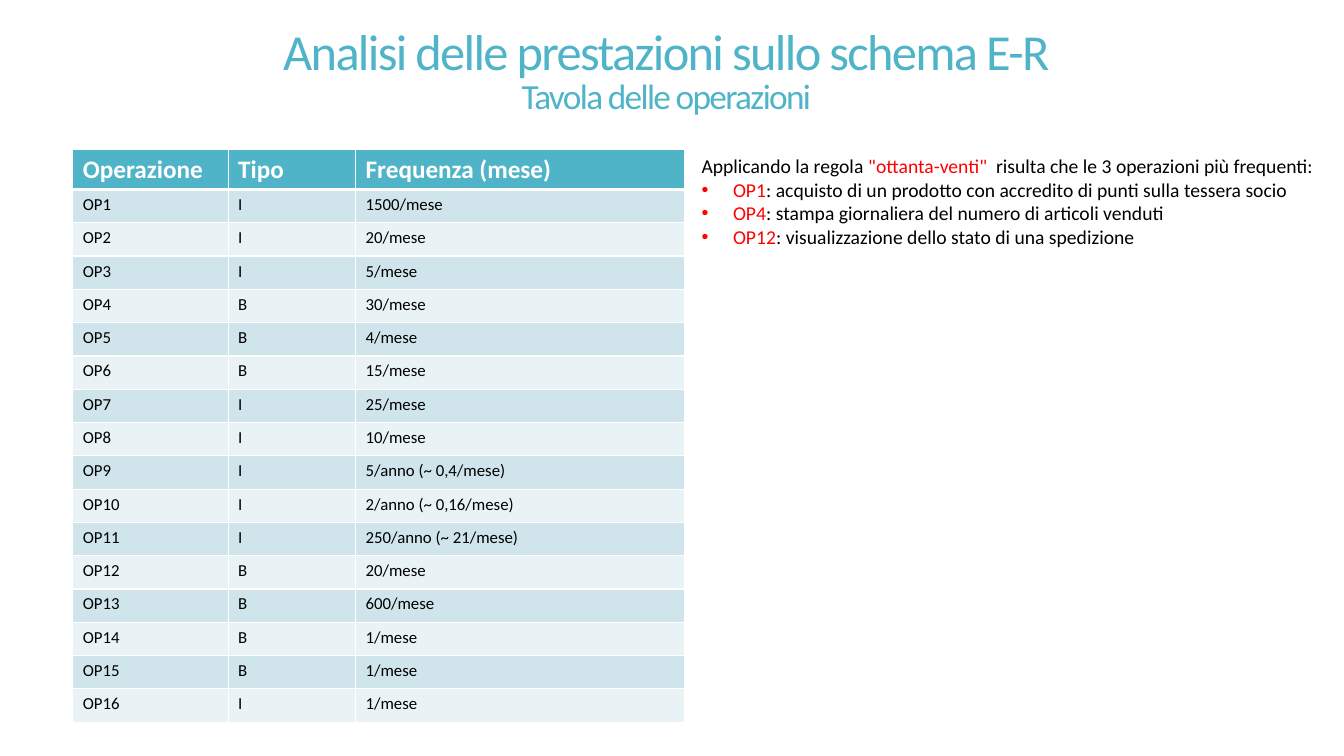
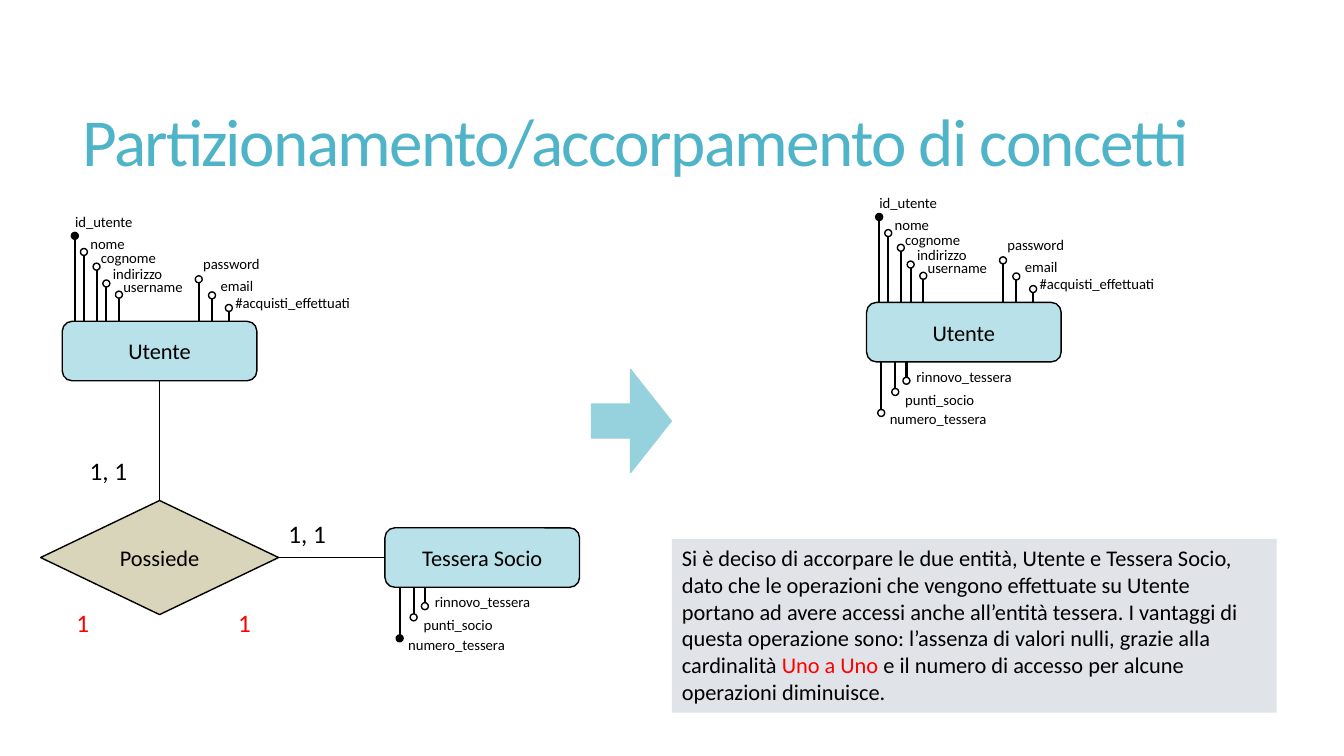
from dataclasses import dataclass

from lxml import etree
from pptx import Presentation
from pptx.dml.color import RGBColor
from pptx.enum.shapes import MSO_CONNECTOR, MSO_SHAPE
from pptx.enum.text import MSO_ANCHOR, PP_ALIGN
from pptx.oxml.ns import qn
from pptx.util import Pt

STRAIGHT = MSO_CONNECTOR.STRAIGHT
ELLIPSE = MSO_SHAPE.OVAL
ROUNDED = MSO_SHAPE.ROUNDED_RECTANGLE
DIAMOND = MSO_SHAPE.FLOWCHART_DECISION
ARROW = MSO_SHAPE.RIGHT_ARROW
MIDDLE = MSO_ANCHOR.MIDDLE
LEFT, CENTER = PP_ALIGN.LEFT, PP_ALIGN.CENTER


@dataclass(frozen=True)
class Theme:
    font: str = "Calibri"
    # Colours
    accent: str = "50B4C8"
    ink: str = "000000"
    paper: str = "FFFFFF"
    highlight: str = "FF0000"
    band_dark: str = "D0E5EB"
    band_light: str = "E9F2F5"
    entity: str = "B9E1E9"
    relation: str = "D9D5BA"
    arrow: str = "96D2DE"
    note: str = "E0E4E8"
    # Type sizes
    title: float = 48
    title_small: float = 36
    subtitle: float = 25.2
    heading: float = 18
    body: float = 16
    list_text: float = 14
    cell: float = 12
    attribute: float = 10.5


THEME = Theme()
ENTITY_W, ENTITY_H = 139, 42.5
PIN = 5

OPERATIONS = [
    ("I", "1500/mese"), ("I", "20/mese"), ("I", "5/mese"), ("B", "30/mese"),
    ("B", "4/mese"), ("B", "15/mese"), ("I", "25/mese"), ("I", "10/mese"),
    ("I", "5/anno (~ 0,4/mese)"), ("I", "2/anno (~ 0,16/mese)"),
    ("I", "250/anno (~ 21/mese)"), ("B", "20/mese"), ("B", "600/mese"),
    ("B", "1/mese"), ("B", "1/mese"), ("I", "1/mese"),
]

FREQUENT = [
    ("OP1", ": acquisto di un prodotto con accredito di punti sulla tessera socio"),
    ("OP4", ": stampa giornaliera del numero di articoli venduti"),
    ("OP12", ": visualizzazione dello stato di una spedizione"),
]

# Attribute: name, pin x from the entity's left, stem length, label offset from the pin
USER_ATTRIBUTES = [
    ("id_utente", 9, 61, -7, -20),
    ("nome", 15.5, 49.5, -2.5, -16),
    ("cognome", 24.5, 39, -4, -16),
    ("indirizzo", 31.5, 27, -2.5, -17),
    ("username", 40.5, 19, -4, -15.5),
    ("password", 97.5, 30, -4, -21),
    ("email", 107, 18.5, -1, -17),
    ("#acquisti_effettuati", 119, 9.5, -2.5, -14),
]
CARD_ATTRIBUTES = [
    ("numero_tessera", 10.5, 36.5, -1, -5.5),
    ("punti_socio", 20.5, 21.5, 0, -4.5),
    ("rinnovo_tessera", 28.5, 13.5, 0, -13),
]


def rgb(value):
    return RGBColor.from_string(value)


def add_run(paragraph, text, size, color=THEME.ink, bold=False):
    run = paragraph.add_run()
    run.text = text
    run.font.name = THEME.font
    run.font.size = Pt(size)
    run.font.bold = bold
    run.font.color.rgb = rgb(color)
    return run


def add_text_box(slide, left, top, width, height):
    box = slide.shapes.add_textbox(Pt(left), Pt(top), Pt(width), Pt(height))
    box.text_frame.word_wrap = True
    return box


def add_label(slide, left, top, width, text, size, color=THEME.ink):
    box = add_text_box(slide, left, top, width, size * 1.2 + 7.2)
    add_run(box.text_frame.paragraphs[0], text, size, color)


def add_title(slide, top, height, lines, align=LEFT):
    frame = add_text_box(slide, 52, top, 848, height).text_frame
    frame.vertical_anchor = MIDDLE
    paragraph = frame.paragraphs[0]
    paragraph.alignment = align
    paragraph.line_spacing = 0.85
    for index, (text, size) in enumerate(lines):
        if index:
            paragraph.add_line_break()
        run = add_run(paragraph, text, size, THEME.accent)
        run.font._element.set("spc", "-120")


def add_bullet(paragraph, indent):
    properties = paragraph._p.get_or_add_pPr()
    properties.set("marL", str(Pt(indent)))
    properties.set("indent", str(-Pt(indent)))
    etree.SubElement(properties, qn("a:buFont")).set("typeface", "Arial")
    etree.SubElement(properties, qn("a:buChar")).set("char", "•")


def set_borders(cell, **widths):
    properties = cell._tc.get_or_add_tcPr()
    for side in "LRTB":
        border = etree.SubElement(properties, qn(f"a:ln{side}"))
        border.set("w", str(Pt(widths.get(side, 1))))
        fill = etree.SubElement(border, qn("a:solidFill"))
        etree.SubElement(fill, qn("a:srgbClr")).set("val", THEME.paper)


def add_operations_table(slide):
    rows = [("Operazione", "Tipo", "Frequenza (mese)")]
    rows += [(f"OP{n}", *operation) for n, operation in enumerate(OPERATIONS, 1)]
    widths = (111, 91, 235)
    header_h, row_h = 27.4, 23.8
    table = slide.shapes.add_table(
        len(rows), len(widths), Pt(52), Pt(106.5), Pt(sum(widths)),
        Pt(header_h + row_h * len(OPERATIONS))).table
    table.horz_banding = False
    for column, width in zip(table.columns, widths):
        column.width = Pt(width)
    for r, values in enumerate(rows):
        table.rows[r].height = Pt(row_h if r else header_h)
        band = THEME.band_dark if r % 2 else THEME.band_light
        for c, text in enumerate(values):
            cell = table.cell(r, c)
            set_borders(cell, B=1 if r else 3, T=3 if r == 1 else 1)
            cell.fill.solid()
            cell.fill.fore_color.rgb = rgb(band if r else THEME.accent)
            paragraph = cell.text_frame.paragraphs[0]
            if r:
                add_run(paragraph, text, THEME.cell)
            else:
                add_run(paragraph, text, THEME.heading, THEME.paper, bold=True)


def add_figure(slide, kind, left, top, width, height, fill, line=THEME.ink, text=""):
    figure = slide.shapes.add_shape(kind, Pt(left), Pt(top), Pt(width), Pt(height))
    figure.shadow.inherit = False
    figure.fill.solid()
    figure.fill.fore_color.rgb = rgb(fill)
    figure.line.color.rgb = rgb(line)
    figure.line.width = Pt(1)
    if text:
        figure.text_frame.vertical_anchor = MIDDLE
        paragraph = figure.text_frame.paragraphs[0]
        paragraph.alignment = CENTER
        add_run(paragraph, text, THEME.body)
    return figure


def add_line(slide, x1, y1, x2, y2, width):
    line = slide.shapes.add_connector(STRAIGHT, Pt(x1), Pt(y1), Pt(x2), Pt(y2))
    line.line.color.rgb = rgb(THEME.ink)
    line.line.width = Pt(width)
    etree.SubElement(line._element.spPr, qn("a:effectLst"))
    return line


def link(slide, start, start_site, end, end_site):
    line = add_line(slide, 0, 0, 0, 0, 0.75)
    line.begin_connect(start, start_site)
    line.end_connect(end, end_site)


def add_attributes(slide, left, edge, direction, attributes, key):
    """Pins on stems; direction is -1 above the entity and 1 below it."""
    for name, dx, stem, label_dx, label_dy in attributes:
        x, y = left + dx, edge + direction * stem
        add_line(slide, x, edge, x, y - direction * PIN / 2, 1.5)
        add_figure(slide, ELLIPSE, x - PIN / 2, y - PIN / 2, PIN, PIN,
                   THEME.ink if name == key else THEME.paper)
        add_label(slide, x + label_dx, y + label_dy, 104, name, THEME.attribute)


def add_entity(slide, left, top, name, key, above=(), below=()):
    add_attributes(slide, left, top, -1, above, key)
    add_attributes(slide, left, top + ENTITY_H, 1, below, key)
    return add_figure(slide, ROUNDED, left, top, ENTITY_W, ENTITY_H,
                      THEME.entity, text=name)


def build_operations(slide):
    add_title(slide, 16.5, 72, [
        ("Analisi delle prestazioni sullo schema E-R", THEME.title_small),
        ("Tavola delle operazioni", THEME.subtitle)], CENTER)
    add_operations_table(slide)

    # Most frequent operations
    frame = add_text_box(slide, 494, 106.5, 456, 75).text_frame
    intro = frame.paragraphs[0]
    add_run(intro, "Applicando la regola ", THEME.list_text)
    add_run(intro, '"ottanta-venti" ', THEME.list_text, THEME.highlight)
    add_run(intro, " risulta che le 3 operazioni più frequenti:", THEME.list_text)
    for code, description in FREQUENT:
        item = frame.add_paragraph()
        add_bullet(item, 22.5)
        add_run(item, code, THEME.list_text, THEME.highlight)
        add_run(item, description, THEME.list_text)


def build_merging(slide):
    add_title(slide, 39.5, 130,
              [("Partizionamento/accorpamento di concetti", THEME.title)])

    # Schema before merging
    user = add_entity(slide, 44.5, 229.5, "Utente", "id_utente", above=USER_ATTRIBUTES)
    card = add_entity(slide, 275, 377, "Tessera Socio", "numero_tessera",
                      below=CARD_ATTRIBUTES)
    owns = add_figure(slide, DIAMOND, 29, 357.5, 170, 81.5, THEME.relation,
                      text="Possiede")
    link(slide, user, 2, owns, 0)
    link(slide, owns, 3, card, 1)
    for left, top in ((57, 322), (199, 367)):
        add_label(slide, left, top, 42, "1, 1", THEME.heading)
    for left in (47.5, 163):
        add_label(slide, left, 430.5, 26, "1", THEME.heading, THEME.highlight)

    # Schema after merging
    arrow = add_figure(slide, ARROW, 422.5, 264, 57, 73.5, THEME.arrow, THEME.arrow)
    arrow.adjustments[0] = 0.33
    arrow.adjustments[1] = 0.51
    add_entity(slide, 619, 216, "Utente", "id_utente",
               above=USER_ATTRIBUTES, below=CARD_ATTRIBUTES)

    # Reason for merging
    note = add_text_box(slide, 480, 385, 432, 124)
    note.fill.solid()
    note.fill.fore_color.rgb = rgb(THEME.note)
    reason = note.text_frame.paragraphs[0]
    add_run(reason, "Si è deciso di accorpare le due entità, Utente e Tessera Socio, "
            "dato che le operazioni che vengono effettuate su Utente portano ad avere "
            "accessi anche all’entità tessera. I vantaggi di questa operazione sono: "
            "l’assenza di valori nulli, grazie alla cardinalità ", THEME.body)
    add_run(reason, "Uno a Uno", THEME.body, THEME.highlight)
    add_run(reason, " e il numero di accesso per alcune operazioni diminuisce.",
            THEME.body)


def main():
    deck = Presentation()
    deck.slide_width, deck.slide_height = Pt(960), Pt(540)
    blank = deck.slide_layouts[6]
    for build in (build_operations, build_merging):
        build(deck.slides.add_slide(blank))
    deck.save("out.pptx")


if __name__ == "__main__":
    main()
